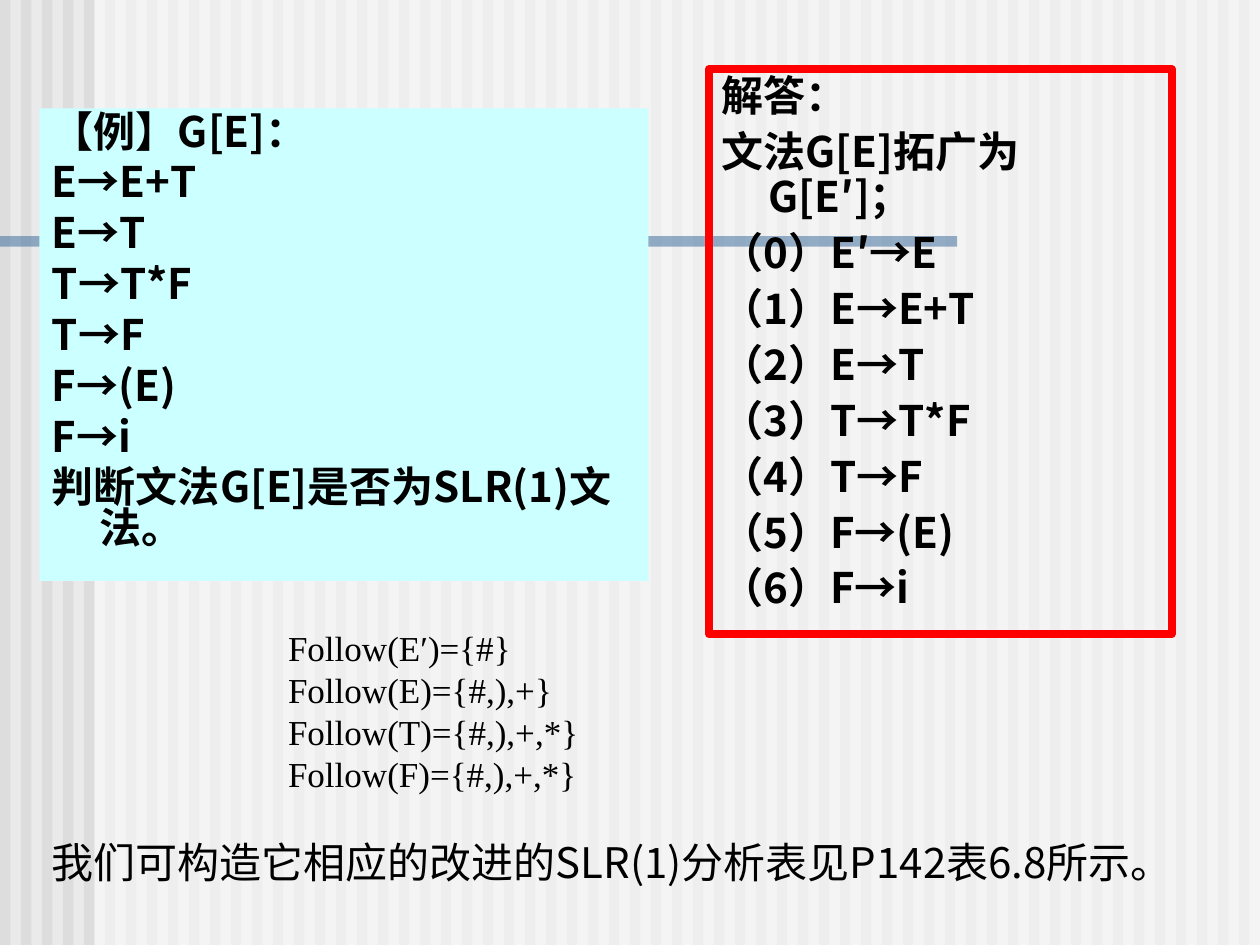
from lxml import etree
from pptx import Presentation
from pptx.dml.color import RGBColor
from pptx.enum.shapes import MSO_SHAPE
from pptx.enum.text import MSO_ANCHOR, MSO_AUTO_SIZE, PP_ALIGN
from pptx.oxml.ns import qn
from pptx.util import Pt

RECTANGLE = MSO_SHAPE.RECTANGLE
TOP = MSO_ANCHOR.TOP
NO_AUTOFIT = MSO_AUTO_SIZE.NONE
GROW = MSO_AUTO_SIZE.SHAPE_TO_FIT_TEXT
LEFT = PP_ALIGN.LEFT

SLIDE_W, SLIDE_H = 720, 540
SANS, SERIF = "Noto Sans CJK SC", "Times New Roman"

EXAMPLE = ["【例】G[E]：", "E→E+T", "E→T", "T→T*F", "T→F", "F→(E)", "F→i",
           "判断文法G[E]是否为SLR(1)文法。"]
ANSWER = ["解答：", "文法G[E]拓广为G[E′]；", "（0）E′→E", "（1）E→E+T", "（2）E→T",
          "（3）T→T*F", "（4）T→F", "（5）F→(E)", "（6）F→i"]
FOLLOW_SETS = ["Follow(E′)={#}", "Follow(E)={#,),+}",
               "Follow(T)={#,),+,*}", "Follow(F)={#,),+,*}"]
CONCLUSION = ["我们可构造它相应的改进的SLR(1)分析表见P142表6.8所示。"]


def paint(fill, color, alpha=None):
    fill.solid()
    fill.fore_color.rgb = RGBColor.from_string(color)
    if alpha is not None:
        rgb = fill._xPr.find(qn("a:solidFill"))[0]
        etree.SubElement(rgb, qn("a:alpha")).set("val", str(alpha * 1000))


def add_bar(group, box, color, alpha=None):
    bar = group.shapes.add_shape(RECTANGLE, *map(Pt, box))
    bar.shadow.inherit = False
    paint(bar.fill, color, alpha)
    bar.line.fill.background()


def write_lines(frame, lines, font_name, size, bold=False):
    frame.word_wrap = True
    frame.vertical_anchor = TOP
    frame.margin_left = frame.margin_right = Pt(7.2)
    frame.margin_top = frame.margin_bottom = Pt(3.6)
    for i, line in enumerate(lines):
        paragraph = frame.paragraphs[0] if i == 0 else frame.add_paragraph()
        paragraph.alignment = LEFT
        paragraph.space_before = Pt(0)
        run = paragraph.add_run()
        run.text = line
        run.font.size = Pt(size)
        run.font.bold = bold
        run.font.name = font_name
        paint(run.font.fill, "000000")
        latin = run.font._element.find(qn("a:latin"))
        east_asian = etree.Element(qn("a:ea"), typeface=font_name)
        latin.addnext(east_asian)


def draw_backdrop(slide, box):
    left, top, width, height = box
    paint(slide.background.fill, "EAEAEA")
    backdrop = slide.shapes.add_group_shape()
    # Vertical stripes
    pitch = 12
    for x in range(left, left + width, pitch):
        add_bar(backdrop, (x, top, pitch / 2, height), "DDDDDD")
    # Pale veil right of the margin, then the title rule
    add_bar(backdrop, (left + 54, top, width - 54, height), "FFFFFF", 50)
    add_bar(backdrop, (left, top + 135, 547, 6), "336699", 50)


def fill_grammar_list(slide, body, box, lines, line_spacing):
    # Placeholders are brought in front of the backdrop
    slide.shapes._spTree.append(body._element)
    body.left, body.top, body.width, body.height = map(Pt, box)
    frame = body.text_frame
    frame.auto_size = NO_AUTOFIT
    write_lines(frame, lines, SANS, 24, bold=True)
    for i, paragraph in enumerate(frame.paragraphs):
        paragraph.line_spacing = line_spacing
        paragraph.space_before = Pt(6 if i else 0)
        # Hanging indent without a bullet
        properties = paragraph._p.get_or_add_pPr()
        properties.set("marL", str(Pt(27)))
        properties.set("indent", str(Pt(-27)))
        etree.SubElement(properties, qn("a:buNone"))


def add_note(slide, box, lines, font_name, size):
    note = slide.shapes.add_textbox(*map(Pt, box))
    write_lines(note.text_frame, lines, font_name, size)
    note.text_frame.auto_size = GROW


def main():
    prs = Presentation()
    prs.slide_width, prs.slide_height = Pt(SLIDE_W), Pt(SLIDE_H)
    slide = prs.slides.add_slide(prs.slide_layouts[3])
    title, example, answer = slide.placeholders
    title._element.getparent().remove(title._element)

    draw_backdrop(slide, (0, 0, SLIDE_W, SLIDE_H))

    # Answer: augmented grammar in a red frame
    fill_grammar_list(slide, answer, (405, 39.5, 264.5, 323), ANSWER, 0.9)
    paint(answer.line.fill, "FF0000")
    answer.line.width = Pt(4.5)

    # Example grammar on a cyan panel
    fill_grammar_list(slide, example, (22.5, 62, 348, 270), EXAMPLE, 0.8)
    paint(example.fill, "CCFFFF")

    # Follow sets and conclusion
    add_note(slide, (157.5, 354.5, 286.5, 104), FOLLOW_SETS, SERIF, 20)
    add_note(slide, (22.5, 474.5, 664, 65), CONCLUSION, SANS, 24)

    prs.save("out.pptx")


if __name__ == "__main__":
    main()
